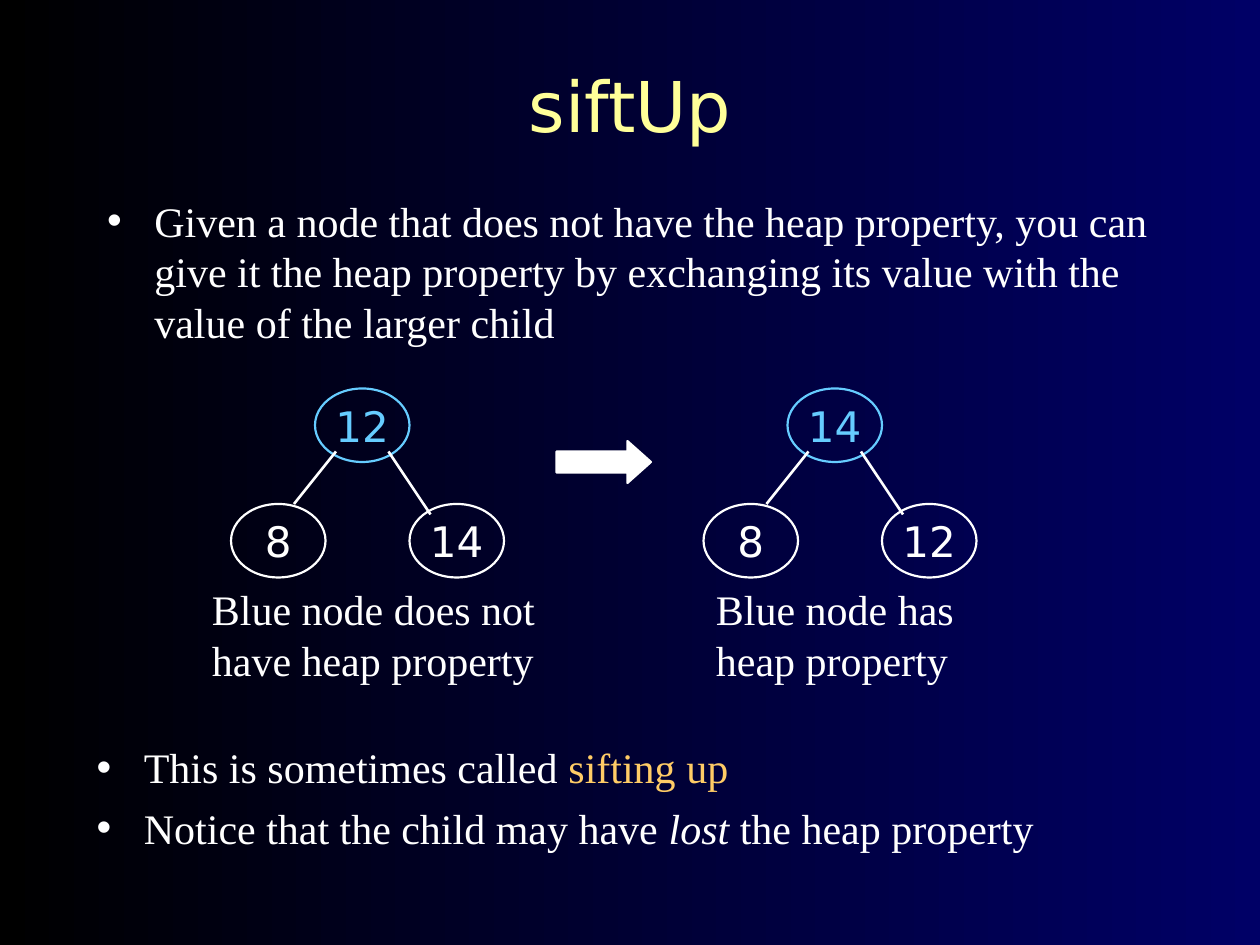
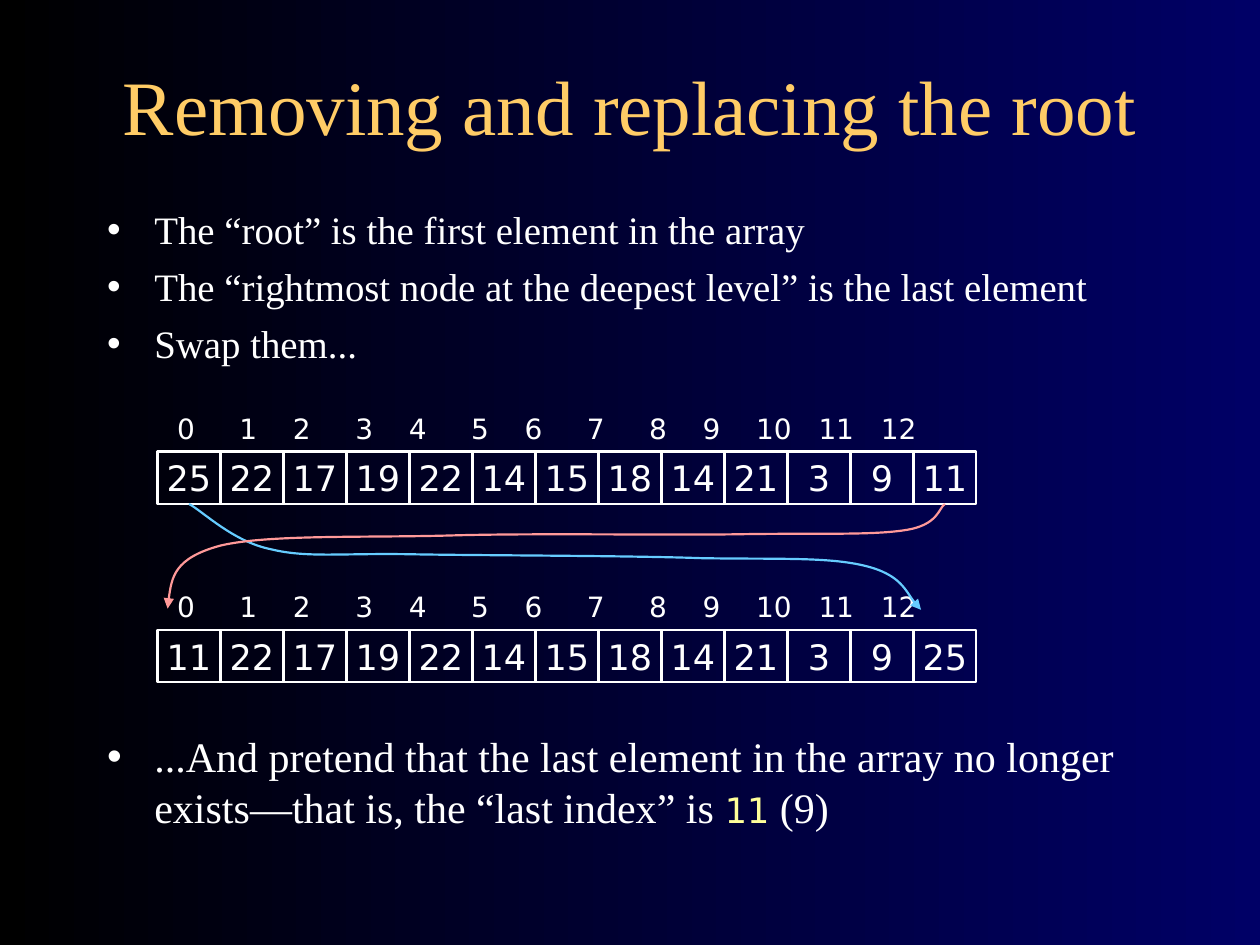
from dataclasses import dataclass

from lxml import etree
from pptx import Presentation
from pptx.dml.color import RGBColor
from pptx.enum.shapes import MSO_CONNECTOR, MSO_SHAPE
from pptx.enum.text import MSO_ANCHOR, MSO_AUTO_SIZE, PP_ALIGN
from pptx.oxml.ns import qn
from pptx.util import Pt

OVAL, RECT, ARROW = MSO_SHAPE.OVAL, MSO_SHAPE.RECTANGLE, MSO_SHAPE.RIGHT_ARROW
LINE = MSO_CONNECTOR.STRAIGHT
MIDDLE, TOP = MSO_ANCHOR.MIDDLE, MSO_ANCHOR.TOP
CENTER, LEFT = PP_ALIGN.CENTER, PP_ALIGN.LEFT
FIXED = MSO_AUTO_SIZE.NONE
SANS, SERIF = "DejaVu Sans", "Times New Roman"
HEX = {"black": "000000", "navy": "000066", "white": "FFFFFF", "gold": "FFCC66",
       "lemon": "FFFF99", "sky": "66CCFF", "rose": "FF9999"}
HALF = 2.545
STOPS = (2, 9, 15, 22, 28, 35, 41, 48, 55, 61, 67, 74, 81)


@dataclass
class Box:
    left: float
    top: float
    width: float
    height: float

    def emu(self) -> list:
        return [Pt(v) for v in (self.left, self.top, self.width, self.height)]


@dataclass
class Style:
    size: float
    face: str = SERIF
    color: str = "white"
    ital: bool = False


@dataclass
class Tree:
    left: float
    root: str
    kids: tuple
    note: str
    note_box: Box


@dataclass
class Curve:
    color: str
    points: tuple


TEXT = Style(24)
TREES = (
    Tree(402, "14", ("8", "12"), "Blue node has heap property", Box(402, 330, 156, 64.8)),
    Tree(132, "12", ("8", "14"), "Blue node does not have heap property",
         Box(114, 330, 204, 64.8)),
)
CELLS = ("25", "22", "17", "19", "22", "14", "15", "18", "14", "21", "3", "9", "11")
SWAPPED = (CELLS[-1], *CELLS[1:-1], CELLS[0])
CURVES = (
    Curve("sky", ((108, 288), (116, 292.3), (133.2, 309.6), (154.8, 313.9),
                  (175.7, 319), (195, 316), (236.2, 316.8),
                  (277.2, 317.5), (358.6, 317.5), (401, 319),
                  (444.2, 319.7), (473, 318.2), (494, 323.3),
                  (514.8, 328.3), (519.8, 342.7), (526.3, 348.5))),
    Curve("rose", ((540, 288), (536.4, 290.2), (536.4, 300.2), (517, 303),
                   (497.5, 306), (465.8, 304.6), (423.4, 305.3),
                   (380.2, 306), (307.4, 304.6), (257.8, 306),
                   (208.8, 307.4), (153.4, 305.3), (126, 311.8),
                   (99.4, 319), (97.2, 333.4), (95.8, 347.8))),
)


def rgb(name: str) -> RGBColor:
    return RGBColor.from_string(HEX[name])


def tag(parent, name: str, **attrs: str):
    return etree.SubElement(parent, qn(name), attrs)


def set_font(font, style: Style) -> None:
    font.size, font.name, font.italic = Pt(style.size), style.face, style.ital
    font.color.rgb = rgb(style.color)


def set_line(line, color: str, width: float = 1.25) -> None:
    line.color.rgb = rgb(color)
    line.width = Pt(width)


def place(shape, box: Box) -> None:
    shape.left, shape.top, shape.width, shape.height = box.emu()


def put_title(slide, text: str, style: Style) -> None:
    title = slide.shapes.title
    place(title, Box(24, 30, 672, 60))
    frame = title.text_frame
    frame.text = text
    frame.auto_size, frame.vertical_anchor = FIXED, MIDDLE
    para = frame.paragraphs[0]
    para.alignment = CENTER
    set_font(para.font, style)


def put_list(holder, box: Box, items: list, style: Style = TEXT) -> None:
    """Fill a body placeholder; an item is a list of strings and (string, Style) pairs."""
    place(holder, box)
    frame = holder.text_frame
    frame.auto_size, frame.vertical_anchor = FIXED, TOP
    for n, item in enumerate(items):
        para = frame.paragraphs[0] if n == 0 else frame.add_paragraph()
        para.alignment, para.space_before = LEFT, Pt(6)
        props = para._p.get_or_add_pPr()
        props.set("marL", str(Pt(27)))
        props.set("indent", str(Pt(-27)))
        tag(tag(props, "a:buClr"), "a:srgbClr", val=HEX["white"])
        tag(props, "a:buChar", char="•")
        set_font(para.font, style)
        for part in item:
            text, look = (part, None) if isinstance(part, str) else part
            run = para.add_run()
            run.text = text
            if look:
                set_font(run.font, look)


def put_shape(shapes, kind, box: Box, color: str = "white", text: str = "", size: float = 24):
    shape = shapes.add_shape(kind, *box.emu())
    shape.shadow.inherit = False
    shape.fill.background()
    set_line(shape.line, color)
    if text:
        frame = shape.text_frame
        frame.text = text
        frame.word_wrap, frame.vertical_anchor = False, MIDDLE
        para = frame.paragraphs[0]
        para.alignment = CENTER
        set_font(para.font, Style(size, SANS, color))
    return shape


def put_text(shapes, box: Box, text: str, style: Style, before: float, stops=()) -> None:
    frame = shapes.add_textbox(*box.emu()).text_frame
    frame.word_wrap = True
    frame.text = text
    para = frame.paragraphs[0]
    para.space_before = Pt(before)
    if stops:
        tabs = tag(para._p.get_or_add_pPr(), "a:tabLst")
        for stop in stops:
            tag(tabs, "a:tab", pos=str(Pt(stop)), algn="l")
    set_font(para.font, style)


def put_edge(shapes, *ends: float) -> None:
    edge = shapes.add_connector(LINE, *[Pt(v) for v in ends])
    set_line(edge.line, "white", 1.5)
    tag(edge._element.spPr, "a:effectLst")


def put_tree(slide, tree: Tree) -> None:
    shapes, left = slide.shapes.add_group_shape().shapes, tree.left
    put_shape(shapes, OVAL, Box(left + 48, 222, 54, 42), "sky", tree.root)
    for shift, kid in zip((0, 102), tree.kids):
        put_shape(shapes, OVAL, Box(left + shift, 288, 54, 42), text=kid)
    put_edge(shapes, left + 60, 258, left + 36, 288)
    put_edge(shapes, left + 90, 258, left + 114, 294)
    put_text(shapes, tree.note_box, tree.note, TEXT, 15)


def put_array(slide, top: float, cells: tuple):
    shapes = slide.shapes.add_group_shape().shapes
    for n, cell in enumerate(cells):
        put_shape(shapes, RECT, Box(90 + 36 * n, top, 36, 30), text=cell, size=20)
    marks = "".join(f"\t{n}" for n in range(len(cells)))
    put_text(shapes, Box(84, top - 26.4, 498, 26.4), marks, Style(16, SANS), 10,
             [2 * HALF * stop for stop in STOPS])
    return shapes


def put_curve(shapes, curve: Curve) -> None:
    """Draw a Bezier outline by joining each three line steps into one curve step."""
    spots = [(Pt(x), Pt(y)) for x, y in curve.points]
    pen = shapes.build_freeform(*spots[0])
    pen.add_line_segments(spots[1:], close=False)
    shape = pen.convert_to_shape()
    shape.shadow.inherit = False
    shape.fill.background()
    set_line(shape.line, curve.color)
    tag(shape.line._get_or_add_ln(), "a:tailEnd", type="triangle")
    steps = list(shape._element.iter(qn("a:lnTo")))
    route = steps[0].getparent()
    for n in range(0, len(steps), 3):
        bend = tag(route, "a:cubicBezTo")
        for step in steps[n:n + 3]:
            bend.append(step[0])
            route.remove(step)


def sift_slide(deck) -> None:
    slide = deck.slides.add_slide(deck.slide_layouts[3])
    put_title(slide, "siftUp", Style(40, SANS, "lemon"))
    put_list(slide.placeholders[1], Box(54, 108, 612, 120), [
        ["Given a node that does not have the heap property, you can give it the heap "
         "property by exchanging its value with the value of the larger child"]])
    put_list(slide.placeholders[2], Box(48, 420, 618, 102), [
        ["This is sometimes called ", ("sifting up", Style(24, color="gold"))],
        ["Notice that the child may have ", ("lost", Style(24, ital=True)),
         " the heap property"]])
    for tree in TREES:
        put_tree(slide, tree)
    arrow = put_shape(slide.shapes, ARROW, Box(318, 252, 54, 24))
    arrow.fill.solid()
    arrow.fill.fore_color.rgb = rgb("white")
    arrow.adjustments[1] = 0.56


def root_slide(deck) -> None:
    slide = deck.slides.add_slide(deck.slide_layouts[3])
    put_title(slide, "Removing and replacing the root", Style(44, color="gold"))
    put_list(slide.placeholders[1], Box(54, 114, 618, 108), [
        ["The “root” is the first element in the array"],
        ["The “rightmost node at the deepest level” is the last element"],
        ["Swap them..."]], Style(22.2))
    put_list(slide.placeholders[2], Box(54, 414, 612, 96), [
        ["...And pretend that the last element in the array no longer exists—that is, "
         "the “last index” is ", ("11", Style(20, SANS, "lemon")), " (9)"]])
    put_array(slide, 258, CELLS)
    shapes = put_array(slide, 360, SWAPPED)
    for curve in CURVES:
        put_curve(shapes, curve)


def main() -> None:
    deck = Presentation()
    deck.slide_width, deck.slide_height = Pt(720), Pt(540)
    fill = deck.slide_master.background.fill
    fill.gradient()
    fill.gradient_angle = 0
    for stop, name in zip(fill.gradient_stops, ("black", "navy")):
        stop.color.rgb = rgb(name)
    sift_slide(deck)
    root_slide(deck)
    deck.save("out.pptx")


if __name__ == "__main__":
    main()
